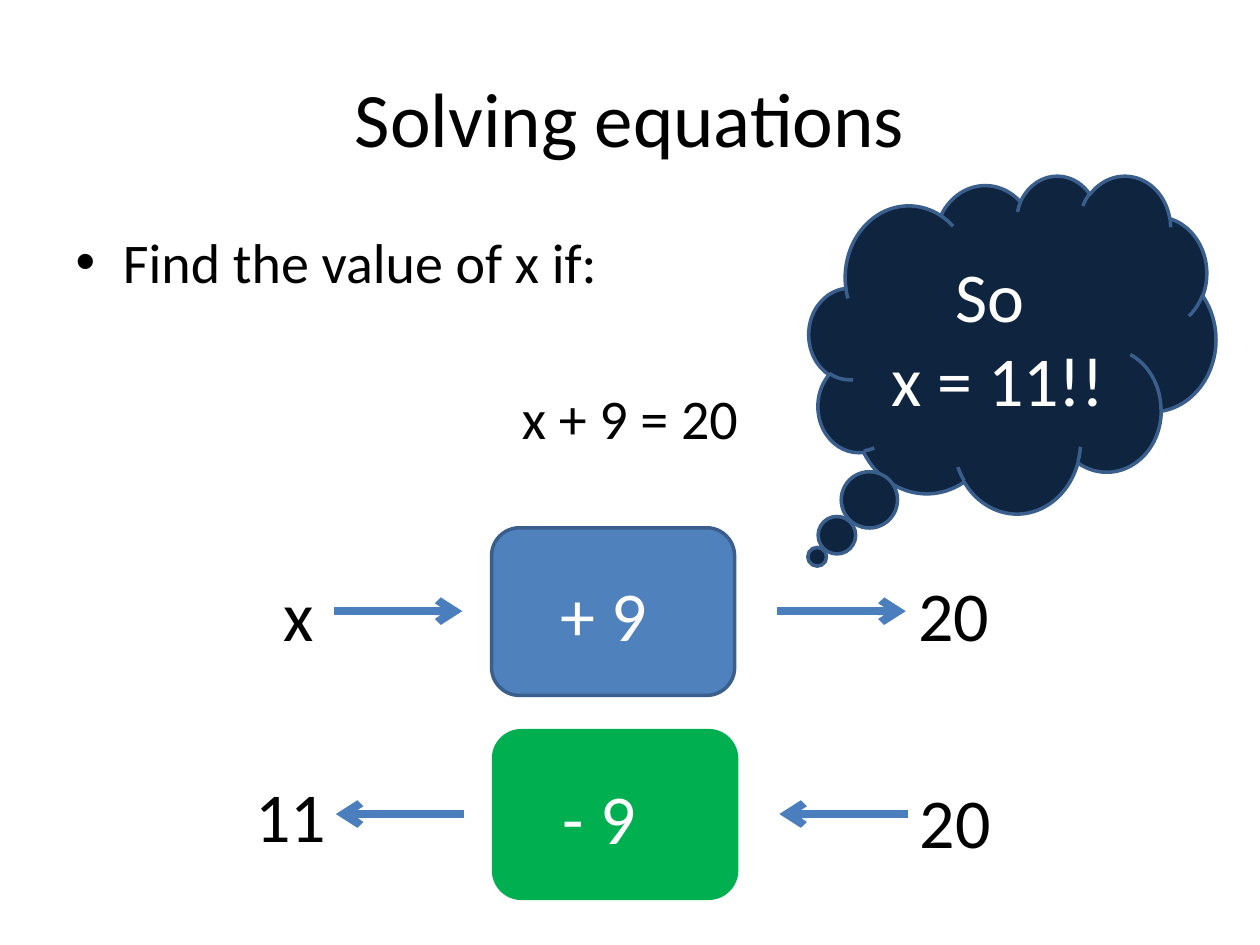
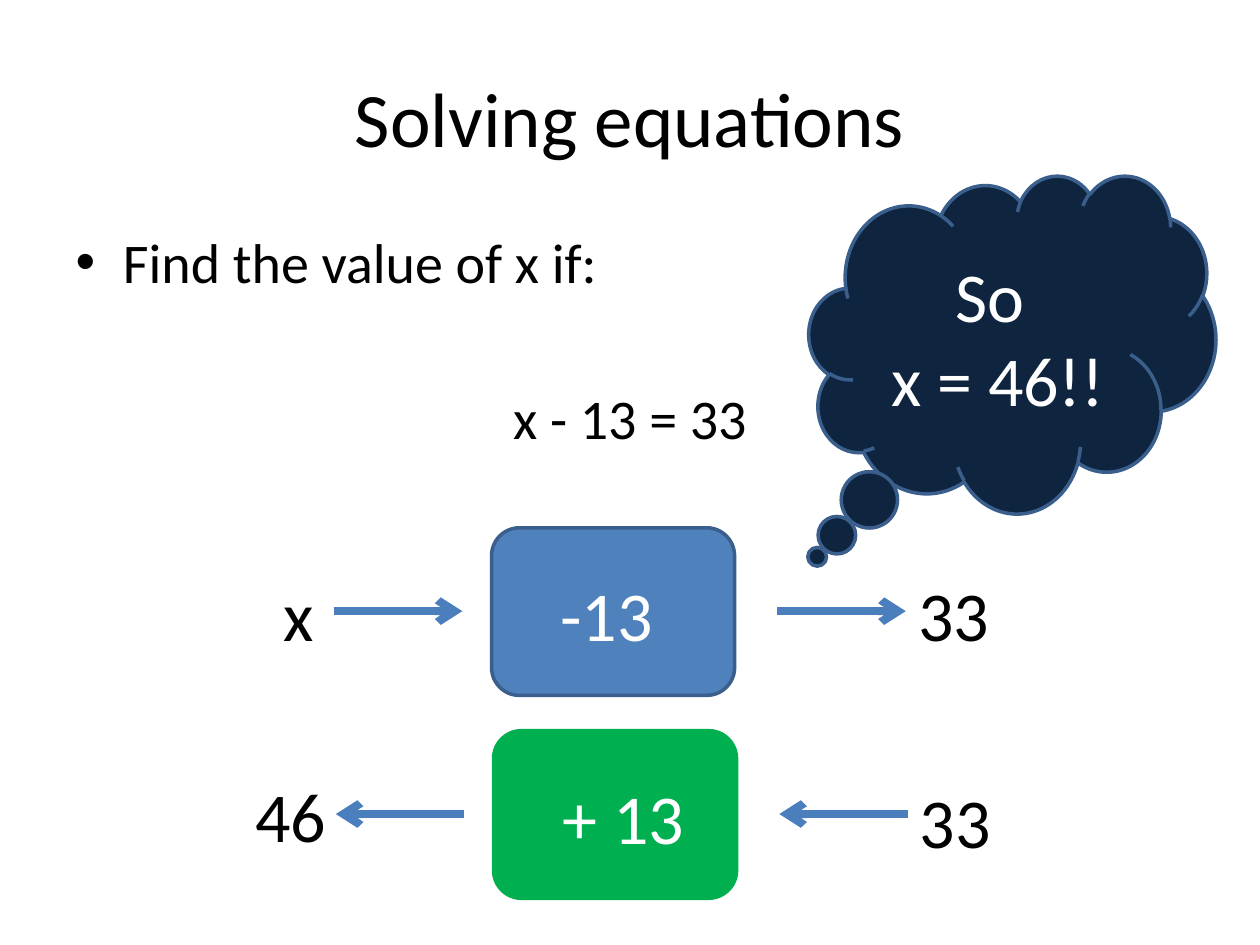
from pptx import Presentation
from pptx.dml.color import RGBColor
from pptx.enum.shapes import MSO_CONNECTOR, MSO_SHAPE
from pptx.enum.text import MSO_ANCHOR, MSO_AUTO_SIZE, PP_ALIGN
from pptx.oxml.ns import qn
from pptx.util import Cm, Pt
from lxml.etree import SubElement

# Colours
BLACK = RGBColor(0, 0, 0)
WHITE = RGBColor(255, 255, 255)
BLUE = RGBColor(0x4F, 0x81, 0xBD)
EDGE = RGBColor(0x3A, 0x5F, 0x8C)
ARROW = RGBColor(0x4B, 0x7E, 0xBC)
GREEN = RGBColor(0, 0xB0, 0x50)
NAVY = RGBColor(0x0F, 0x24, 0x3E)

# Text formats
TITLE = {"name": "Calibri", "size": Pt(44)}
BODY = {"name": "Calibri", "size": Pt(32)}
LABEL = {"name": "Calibri", "size": Pt(40)}

# Each slide: equation, answer, then the labels of both rows (left, step, right)
SLIDES = [
    ("x + 9 = 20", "x = 11!!", ("x", "+ 9", "20"), ("11", "- 9", "20")),
    ("x - 13 = 33", "x = 46!!", ("x", "-13", "33"), ("46", "+ 13", "33")),
]

# Each row in cm: shift, box top, arrow height, arrow end, fill, edge, label places
ROWS = [
    (0, 10.64, 12.32, "tailEnd", BLUE, EDGE,
     ((5.46, 11.4), (11.05, 11.4), (18.26, 11.4))),
    (0.04, 14.73, 16.41, "headEnd", GREEN, GREEN,
     ((4.9, 15.44), (11.1, 15.49), (18.29, 15.57))),
]
WIDTHS = (2.84, 4.32, 2.84)


def write(frame, lines, form, ink, align):
    frame.word_wrap = True
    frame.text = "\n".join(lines)
    for par in frame.paragraphs:
        par.alignment = align
        for run in par.runs:
            for key, val in form.items():
                setattr(run.font, key, val)
            run.font.color.rgb = ink


def draw(shapes, kind, place, fill, edge):
    shape = shapes.add_shape(kind, *map(Cm, place))
    shape.shadow.inherit = False
    shape.fill.solid()
    shape.fill.fore_color.rgb = fill
    shape.line.color.rgb = edge
    shape.line.width = Pt(2)
    return shape


deck = Presentation()
deck.slide_width, deck.slide_height = Cm(25.4), Cm(19.05)

for sum_text, answer, *labels in SLIDES:
    slide = deck.slides.add_slide(deck.slide_layouts[1])
    shapes = slide.shapes

    # Title and task
    title, body = shapes.title, slide.placeholders[1]
    for holder, place in ((title, (1.27, 0.76, 22.86, 3.18)),
                          (body, (1.27, 4.45, 22.86, 12.57))):
        holder.left, holder.top, holder.width, holder.height = map(Cm, place)
        holder.text_frame.auto_size = MSO_AUTO_SIZE.NONE
    title.text_frame.vertical_anchor = MSO_ANCHOR.MIDDLE
    write(title.text_frame, ["Solving equations"], TITLE, BLACK, PP_ALIGN.CENTER)
    write(body.text_frame, ["Find the value of x if:", sum_text],
          BODY, BLACK, PP_ALIGN.LEFT)
    task, formula = body.text_frame.paragraphs
    task.space_before = Pt(0)
    formula.alignment = PP_ALIGN.CENTER
    formula.space_before = Pt(51)
    props = formula._p.get_or_add_pPr()
    props.set("marL", "0")
    props.set("indent", "0")
    SubElement(props, qn("a:buNone"))

    # Function machine: forward row, then inverse row
    for (shift, top, mid, end, fill, edge, places), words in zip(ROWS, labels):
        draw(shapes, MSO_SHAPE.ROUNDED_RECTANGLE,
             (9.91 + shift, top, 4.9, 3.38), fill, edge)

        for left in (6.73 + shift, 15.67 + shift):
            line = shapes.add_connector(MSO_CONNECTOR.STRAIGHT, Cm(left), Cm(mid),
                                        Cm(left + 2.59), Cm(mid))
            line.line.color.rgb = ARROW
            line.line.width = Pt(4.5)
            SubElement(line.line._get_or_add_ln(), qn("a:" + end), type="arrow")
            SubElement(line._element.spPr, qn("a:effectLst"))

        inks = (BLACK, WHITE, BLACK)
        for (left, high), width, word, ink in zip(places, WIDTHS, words, inks):
            box = shapes.add_textbox(Cm(left), Cm(high), Cm(width), Cm(1.96))
            write(box.text_frame, [word], LABEL, ink, PP_ALIGN.LEFT)

    # Answer cloud
    cloud = draw(shapes, MSO_SHAPE.CLOUD_CALLOUT,
                 (16.31, 3.53, 8.2, 6.81), NAVY, EDGE)
    cloud.adjustments[0], cloud.adjustments[1] = -0.48, 0.63
    cloud.text_frame.vertical_anchor = MSO_ANCHOR.MIDDLE
    write(cloud.text_frame, ["So ", answer], LABEL, WHITE, PP_ALIGN.CENTER)

deck.save("out.pptx")
